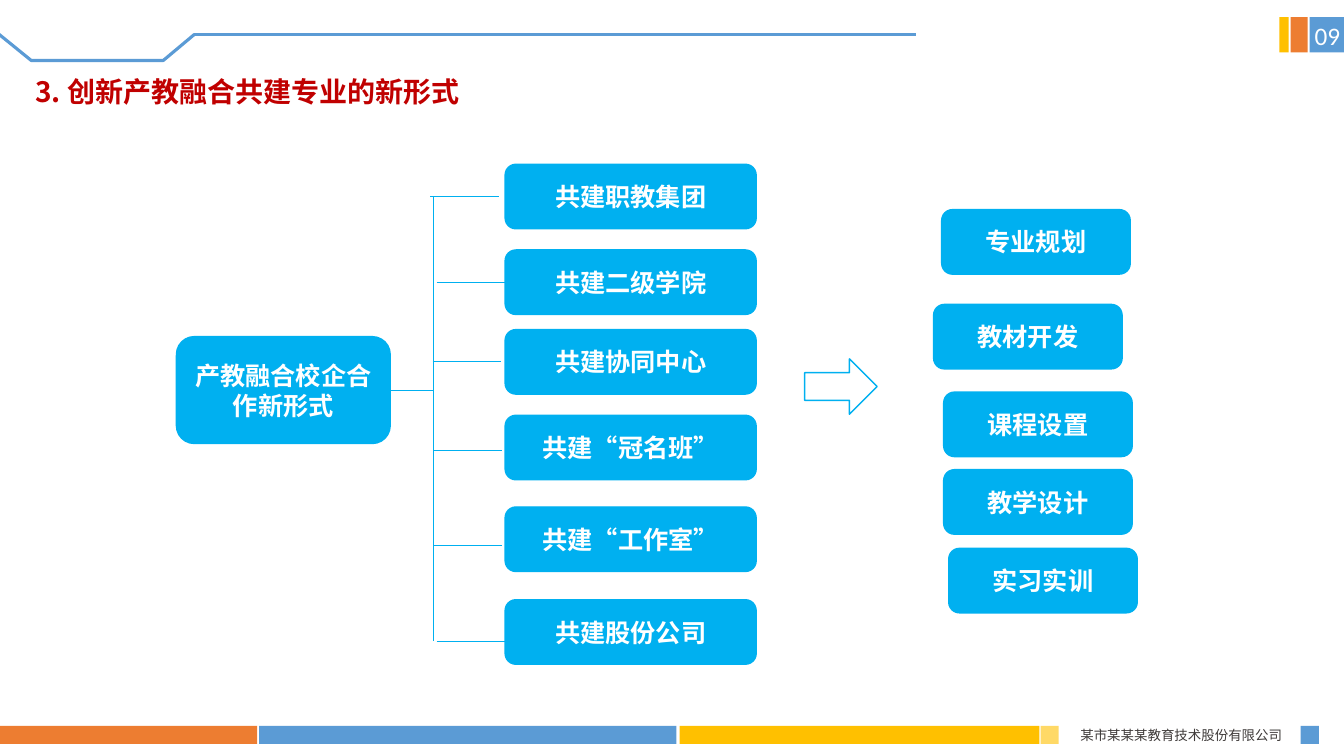
"""Build the slide on new forms of industry-education co-built majors."""
from lxml import etree
from pptx import Presentation, util as u
from pptx.dml.color import RGBColor
from pptx.enum import shapes, text
from pptx.oxml.ns import qn

PX = 9144
COLORS = {"orange": "ED7D31", "blue": "5B9BD5", "gold": "FFC000", "sand": "FFD966",
          "sky": "00B0F0", "white": "FFFFFF", "red": "C00000", "ink": "3E3A39"}
CJK = "Noto Sans CJK SC"
KIND = shapes.MSO_SHAPE
ALIGN = text.PP_ALIGN

prs = Presentation()
prs.slide_width, prs.slide_height = 1333 * PX, 750 * PX
s = prs.slides.add_slide(prs.slide_layouts[5])


def write(sp, words, color, frame, font, align=ALIGN.CENTER):
    tf = sp.text_frame
    for key, value in frame.items():
        setattr(tf, key, value)
    p = tf.paragraphs[0]
    p.alignment = align
    r = p.add_run()
    r.text = words
    for key, value in font.items():
        setattr(r.font, key, value)
    r.font.color.rgb = RGBColor.from_string(COLORS[color])
    etree.SubElement(r.font._element, qn("a:ea"), typeface=CJK)


def style(sp, fill=None, line=None, width=1):
    if fill:
        sp.fill.solid()
        sp.fill.fore_color.rgb = RGBColor.from_string(COLORS[fill])
    if line:
        sp.line.color.rgb = RGBColor.from_string(COLORS[line])
        sp.line.width = u.Pt(width)
    elif fill:
        sp.line.fill.background()
    if hasattr(sp, "shadow"):
        sp.shadow.inherit = False
    else:
        etree.SubElement(sp._element.spPr, qn("a:effectLst"))
    return sp


title = s.shapes.title
title.left, title.top, title.width, title.height = [v * PX for v in (25, 69, 451, 44)]
write(title, "3. 创新产教融合共建专业的新形式", "red",
      {"word_wrap": False, "auto_size": text.MSO_AUTO_SIZE.NONE,
       "vertical_anchor": text.MSO_ANCHOR.TOP},
      {"name": CJK, "size": u.Pt(20), "bold": True}, ALIGN.LEFT)

bars = [(0, 720, 255, 18, "orange"), (257, 720, 414, 18, "blue"),
        (674, 720, 357, 18, "gold"), (1032, 720, 18, 18, "sand"),
        (1290, 720, 18, 18, "blue"), (1299, 17, 34, 35, "blue"),
        (1280, 17, 17, 35, "orange"), (1269, 17, 9, 35, "gold")]
for x, y, w, h, color in bars:
    style(s.shapes.add_shape(KIND.RECTANGLE, x * PX, y * PX, w * PX, h * PX), color)

labels = [(1041, 716, 261, 26, "某市某某某教育技术股份有限公司", "ink", "Arial", 9.6),
          (1290, 15, 53, 19, "09", "white", "Calibri", 18)]
for x, y, w, h, words, color, name, size in labels:
    write(s.shapes.add_textbox(x * PX, y * PX, w * PX, h * PX), words, color,
          {"word_wrap": False}, {"name": name, "size": u.Pt(size)})

notch = s.shapes.build_freeform(193, 34, scale=PX)
notch.add_line_segments([(162, 60), (31, 60), (-1, 34)], close=False)
sp = style(notch.convert_to_shape(), line="blue", width=2.25)
sp.fill.background()

forms = [("共建职教集团", 163), ("共建二级学院", 248), ("共建协同中心", 327),
         ("共建“冠名班”", 412), ("共建“工作室”", 503), ("共建股份公司", 595)]
outputs = [("专业规划", 934, 208), ("教材开发", 926, 302), ("课程设置", 936, 389),
           ("教学设计", 936, 466), ("实习实训", 941, 544)]
boxes = [("产教融合校企合作新形式", 175, 334, 212, 106)]
boxes += [(words, 501, y, 249, 64) for words, y in forms]
boxes += [(words, x, y, 187, 64) for words, x, y in outputs]
nodes = {}
for words, x, y, w, h in boxes:
    sp = s.shapes.add_shape(KIND.ROUNDED_RECTANGLE, x * PX, y * PX, w * PX, h * PX)
    nodes[words] = style(sp, "sky", "sky")
    write(sp, words, "white",
          {"word_wrap": True, "vertical_anchor": text.MSO_ANCHOR.MIDDLE},
          {"name": CJK, "size": u.Pt(18), "bold": True})

lines = [(192, 34, 909, 34, "blue", 2.25), (387, 387, 429, 387, "sky", 0.5),
         (430, 195, 430, 636, "sky", 0.5)]
branches = [(427, 195), (433, 280), (429, 359), (430, 447), (430, 541), (433, 636)]
lines += [(x, y, x + 68, y, "sky", 0.5) for x, y in branches]
for x1, y1, x2, y2, color, width in lines:
    cxn = s.shapes.add_connector(shapes.MSO_CONNECTOR.STRAIGHT,
                                 x1 * PX, y1 * PX, x2 * PX, y2 * PX)
    style(cxn, line=color, width=width)
    for sp in nodes.values():
        middle = sp.top + sp.height // 2
        if (x1 * PX, y1 * PX) == (sp.left + sp.width, middle):
            cxn.begin_connect(sp, 3)
        if (x2 * PX, y2 * PX) == (sp.left, middle):
            cxn.end_connect(sp, 1)

arrow = s.shapes.add_shape(KIND.RIGHT_ARROW, 798 * PX, 356 * PX, 72 * PX, 55 * PX)
style(arrow, "white", "sky")

prs.save("out.pptx")
